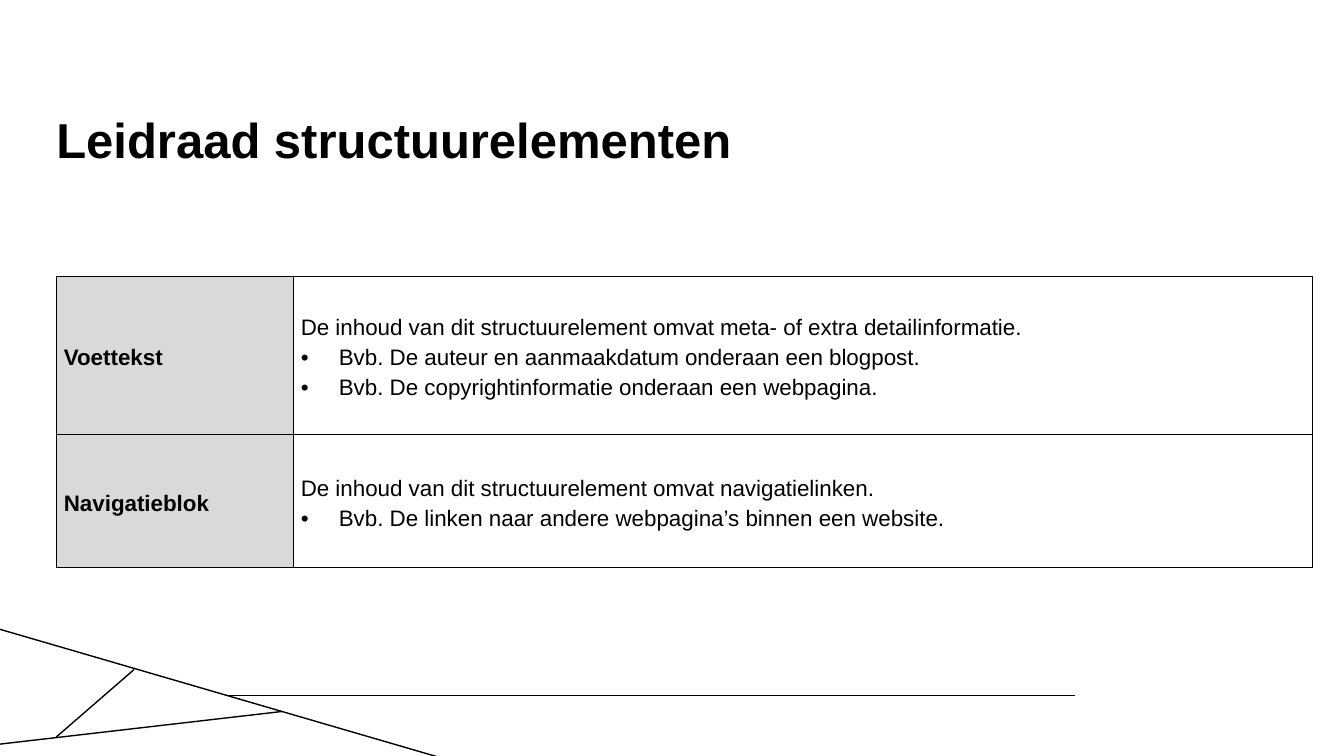
from dataclasses import dataclass

from lxml import etree
from pptx import Presentation
from pptx import util as u
from pptx.dml.color import RGBColor
from pptx.enum import shapes, text
from pptx.oxml import ns

BLACK = RGBColor(0x00, 0x00, 0x00)
GREY = RGBColor(0xD9, 0xD9, 0xD9)
FONT = "Arial"
LEFT = 1.42
INDENT = u.Cm(0.96)


@dataclass
class Line:
    x1: float
    y1: float
    x2: float
    y2: float


@dataclass
class Row:
    height: float
    label: str
    intro: str
    points: list[str]


LINES = [
    Line(5.66, 17.53, 27.08, 17.53),
    Line(0, 18.75, 7.09, 17.93),
    Line(-0.13, 15.82, 11.23, 19.13),
    Line(3.38, 16.87, LEFT, 18.57),
]
COLS = [5.97, 25.68]
ROWS = [
    Row(3.99, "Voettekst",
        "De inhoud van dit structuurelement omvat meta- of extra detailinformatie.",
        ["Bvb. De auteur en aanmaakdatum onderaan een blogpost.",
         "Bvb. De copyrightinformatie onderaan een webpagina."]),
    Row(3.35, "Navigatieblok",
        "De inhoud van dit structuurelement omvat navigatielinken.",
        ["Bvb. De linken naar andere webpagina’s binnen een website."]),
]
FRAME = {"margin_left": 0, "margin_right": 0, "margin_top": 0, "margin_bottom": 0,
         "word_wrap": True, "vertical_anchor": text.MSO_ANCHOR.TOP}
CELL = {"margin_left": u.Cm(0.19), "margin_right": u.Cm(0.19), "margin_top": 0,
        "margin_bottom": 0, "vertical_anchor": text.MSO_ANCHOR.MIDDLE}


def apply(obj, form: dict) -> None:
    for name, value in form.items():
        setattr(obj, name, value)


def write(par, words: str, size: float, bold: bool, form: dict) -> None:
    apply(par, form)
    run = par.add_run()
    run.text = words
    apply(run.font, {"name": FONT, "size": u.Pt(size), "bold": bold})
    run.font.color.rgb = BLACK


def bullet(par) -> None:
    props = par._p.get_or_add_pPr()
    apply_ind = {"marL": INDENT, "indent": -INDENT}
    for name, value in apply_ind.items():
        props.set(name, str(int(value)))
    etree.SubElement(props, ns.qn("a:buFont")).set("typeface", FONT)
    etree.SubElement(props, ns.qn("a:buChar")).set("char", "•")


def border(cell) -> None:
    props = cell._tc.get_or_add_tcPr()
    for place, side in enumerate("LRTB"):
        edge = etree.Element(ns.qn(f"a:ln{side}"), w=str(int(u.Pt(1))))
        fill = etree.SubElement(edge, ns.qn("a:solidFill"))
        etree.SubElement(fill, ns.qn("a:srgbClr")).set("val", str(BLACK))
        props.insert(place, edge)


def draw_line(slide, line: Line) -> None:
    ends = [u.Cm(v) for v in (line.x1, line.y1, line.x2, line.y2)]
    link = slide.shapes.add_connector(shapes.MSO_CONNECTOR.STRAIGHT, *ends)
    link.line.color.rgb = BLACK
    link.line.width = u.Pt(1)
    etree.SubElement(link._element.spPr, ns.qn("a:effectLst"))


def draw_title(slide, words: str) -> None:
    box = slide.shapes.add_textbox(u.Cm(LEFT), u.Cm(2.92), u.Cm(30.99), u.Cm(2.72))
    apply(box.text_frame, FRAME)
    write(box.text_frame.paragraphs[0], words, 35, True, {"line_spacing": 0.9})


def fill_row(table, index: int, row: Row) -> None:
    table.rows[index].height = u.Cm(row.height)
    label, body = table.cell(index, 0), table.cell(index, 1)
    for cell in (label, body):
        apply(cell, CELL)
    label.fill.solid()
    label.fill.fore_color.rgb = GREY
    body.fill.background()
    write(label.text_frame.paragraphs[0], row.label, 16, True,
          {"line_spacing": 1.2, "space_after": u.Pt(11)})
    frame = body.text_frame
    write(frame.paragraphs[0], row.intro, 16, False, {"line_spacing": 1.2})
    for point in row.points:
        par = frame.add_paragraph()
        write(par, point, 16, False, {"line_spacing": 1.2})
        bullet(par)
    for cell in (label, body):
        border(cell)


def draw_table(slide) -> None:
    high = sum(row.height for row in ROWS)
    table = slide.shapes.add_table(len(ROWS), len(COLS), u.Cm(LEFT), u.Cm(6.96),
                                   u.Cm(sum(COLS)), u.Cm(high)).table
    apply(table, {"first_row": False, "horz_banding": False})
    for col, width in zip(table.columns, COLS):
        col.width = u.Cm(width)
    for index, row in enumerate(ROWS):
        fill_row(table, index, row)


def main() -> None:
    deck = Presentation()
    apply(deck, {"slide_width": u.Cm(33.87), "slide_height": u.Cm(19.05)})
    slide = deck.slides.add_slide(deck.slide_layouts[6])
    # Corner lines
    for line in LINES:
        draw_line(slide, line)
    # Title and table
    draw_title(slide, "Leidraad structuurelementen")
    draw_table(slide)
    deck.save("out.pptx")


if __name__ == "__main__":
    main()
